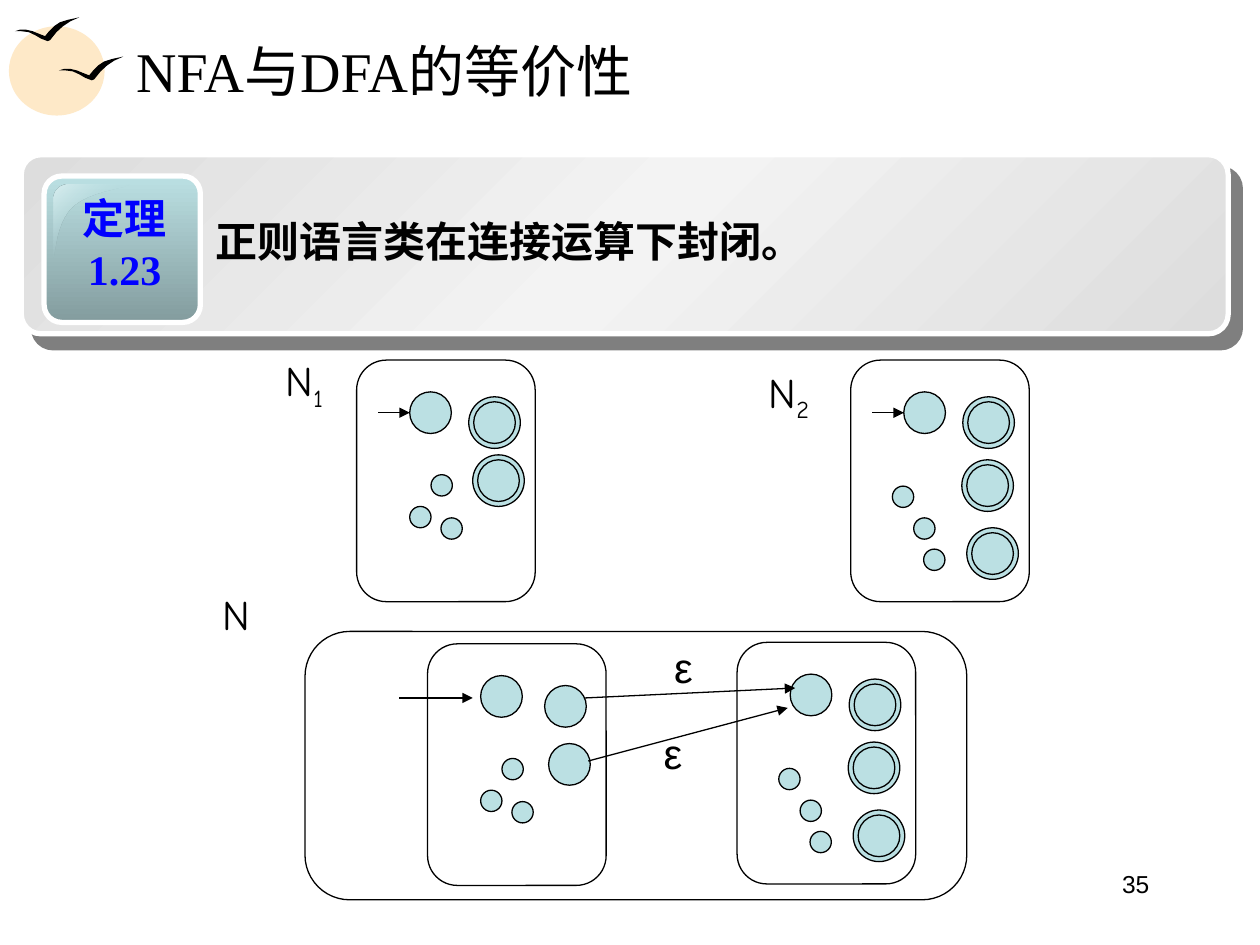
import pptx
import pptx.util
import pptx.dml.color
import pptx.enum.shapes
import pptx.enum.text
import pptx.oxml
import pptx.oxml.ns

Cm = pptx.util.Cm
Pt = pptx.util.Pt
RGBColor = pptx.dml.color.RGBColor
Shape = pptx.enum.shapes.MSO_SHAPE
Align = pptx.enum.text.PP_ALIGN

BLACK = RGBColor(0x00, 0x00, 0x00)
WHITE = RGBColor(0xFF, 0xFF, 0xFF)
BLUE = RGBColor(0x00, 0x00, 0xFF)
SUN = RGBColor(0xFE, 0xE9, 0xC8)
STATE = RGBColor(0xBB, 0xE0, 0xE3)
STATE_DARK = RGBColor(0x83, 0x9C, 0x9E)
STATE_LIGHT = RGBColor(0xDA, 0xEE, 0xF0)
SILVER = RGBColor(0xDD, 0xDD, 0xDD)
SILVER_LIGHT = RGBColor(0xF3, 0xF3, 0xF3)

FRAME = (3.6, 4.87)
START, SMALL, RING_GAP = 0.84, 0.43, 0.1
N1 = {"inner": [(1.5, 2.31), (1.07, 2.95), (1.7, 3.18)],
      "final": [(2.36, 0.84), (2.44, 2.01)]}
N2 = {"inner": [(0.84, 2.54), (1.27, 3.18), (1.47, 3.81)],
      "final": [(2.36, 0.84), (2.34, 2.11), (2.44, 3.48)]}
BIRD = [(0, 0.28), (0.1, 0.25), (0.23, 0.25), (0.36, 0.28), (0.48, 0.33),
        (0.61, 0.38), (0.69, 0.28), (0.79, 0.18), (0.91, 0.1), (1.07, 0.05),
        (1.3, 0), (1.12, 0.08), (0.97, 0.18), (0.84, 0.3), (0.71, 0.46),
        (0.66, 0.48), (0.53, 0.43), (0.41, 0.36), (0.28, 0.3), (0.13, 0.28)]


def add_xml(parent, markup):
    declaration = pptx.oxml.ns.nsdecls("a")
    parent.append(pptx.oxml.parse_xml(markup.replace(" ", f" {declaration} ", 1)))


def write(frame, text, size=24, font="Arial", color=BLACK, bold=False,
          align=Align.LEFT, spacing=None, subscript=""):
    frame.word_wrap = True
    for index, line in enumerate(text.split("\n")):
        paragraph = frame.add_paragraph() if index else frame.paragraphs[0]
        paragraph.alignment = align
        if spacing:
            paragraph.line_spacing = spacing
        for part in filter(None, (line, subscript)):
            run = paragraph.add_run()
            run.text = part
            run.font.size, run.font.name = Pt(size), font
            run.font.color.rgb, run.font.bold = color, bold
        if subscript:
            run.font._element.set("baseline", "-25000")


def label(shapes, x, y, width, height, text, **style):
    box = shapes.add_textbox(Cm(x), Cm(y), Cm(width), Cm(height))
    write(box.text_frame, text, **style)


def paint(shape, fill=None, line=None, weight=0.75):
    shape.shadow.inherit = False
    if fill is None:
        shape.fill.background()
    else:
        shape.fill.solid()
        shape.fill.fore_color.rgb = fill
    if line is None:
        shape.line.fill.background()
    else:
        shape.line.color.rgb = line
        shape.line.width = Pt(weight)


def shade(shape, stops, angle):
    shape.fill.gradient()
    gradient = shape._element.spPr.find(pptx.oxml.ns.qn("a:gradFill"))
    for child in list(gradient):
        gradient.remove(child)
    marks = "".join(
        f'<a:gs pos="{position * 1000}"><a:srgbClr val="{color}">'
        f'<a:alpha val="{alpha * 1000}"/></a:srgbClr></a:gs>'
        for position, color, alpha in stops)
    add_xml(gradient, f"<a:gsLst >{marks}</a:gsLst>")
    add_xml(gradient, f'<a:lin ang="{angle * 60000}" scaled="1"/>')


def add_preset(shapes, kind, x, y, width, height, fill=None, line=BLACK, weight=0.75):
    shape = shapes.add_shape(kind, Cm(x), Cm(y), Cm(width), Cm(height))
    paint(shape, fill, line, weight)
    return shape


def add_state(shapes, x, y, size):
    add_preset(shapes, Shape.OVAL, x, y, size, size, STATE)


def add_outline(shapes, x, y, points, fill):
    corners = [(Cm(x + dx), Cm(y + dy)) for dx, dy in points]
    builder = shapes.build_freeform(*corners[0])
    builder.add_line_segments(corners[1:], close=True)
    shape = builder.convert_to_shape()
    paint(shape, fill)
    return shape


def add_arrow(shapes, x1, y1, x2, y2):
    arrow = shapes.add_connector(pptx.enum.shapes.MSO_CONNECTOR.STRAIGHT,
                                 Cm(x1), Cm(y1), Cm(x2), Cm(y2))
    arrow.line.color.rgb = BLACK
    arrow.line.width = Pt(0.75)
    add_xml(arrow.line._get_or_add_ln(), '<a:tailEnd type="triangle"/>')
    add_xml(arrow._element.spPr, "<a:effectLst />")


def curve(a, b, c, d, steps=10):
    times = [step / steps for step in range(steps + 1)]
    return [tuple((1 - t) ** 3 * p + 3 * t * (1 - t) ** 2 * q
                  + 3 * t ** 2 * (1 - t) * r + t ** 3 * s
                  for p, q, r, s in zip(a, b, c, d)) for t in times]


def place_heading(slide, x, y, width, height):
    add_preset(slide.shapes, Shape.OVAL, x, y + 0.18, 1.93, 1.8, SUN, None)
    for dx, dy in ((0.12, 0), (1.01, 0.79)):
        add_outline(slide.shapes, x + dx, y + dy, BIRD, BLACK)
    title = slide.shapes.title
    title.left, title.top = Cm(x + 2.31), Cm(y + 0.18)
    title.width, title.height = Cm(width - 2.31), Cm(height)
    title.text_frame.vertical_anchor = pptx.enum.text.MSO_ANCHOR.MIDDLE
    write(title.text_frame, "NFA与DFA的等价性", size=32, font="Times New Roman")


def place_theorem(slide, x, y, width, height):
    shapes = slide.shapes
    banner = add_preset(shapes, Shape.ROUNDED_RECTANGLE, x, y, width, height,
                        SILVER, WHITE, 3)
    banner.adjustments[0] = 0.11
    shade(banner, [(0, SILVER, 100), (50, SILVER_LIGHT, 100), (100, SILVER, 100)], 45)
    add_xml(banner._element.spPr.find(pptx.oxml.ns.qn("a:effectLst")),
            '<a:outerShdw dist="134620" dir="2940000" algn="ctr" rotWithShape="0">'
            '<a:srgbClr val="000000"><a:alpha val="50000"/></a:srgbClr></a:outerShdw>')
    badge = add_preset(shapes, Shape.ROUNDED_RECTANGLE, x + 0.46, y + 0.43, 3.15, 2.95,
                       STATE, WHITE, 3)
    badge.adjustments[0] = 0.12
    shade(badge, [(0, STATE, 100), (100, STATE_DARK, 100)], 90)
    gloss_edge = (curve((0.3, 0), (0.13, 0), (0, 0.13), (0, 0.3))
                  + curve((0, 1.47), (0.05, 1.47), (0.03, 0.76), (0.41, 0.43))
                  + curve((0.41, 0.43), (0.81, 0.1), (1.55, 0.08), (1.52, 0)))
    gloss = add_outline(shapes, x + 0.66, y + 0.61, gloss_edge, STATE_LIGHT)
    shade(gloss, [(0, STATE_LIGHT, 100), (50, STATE, 0), (100, STATE_LIGHT, 100)], 45)
    label(shapes, x + 0.89, y + 0.64, 2.39, 2.29, "定理\n1.23", font="Times New Roman",
          color=BLUE, bold=True, align=Align.CENTER)
    label(shapes, x + 3.66, y + 0.99, 20.32, 1.37, "正则语言类在连接运算下封闭。",
          bold=True, spacing=1.1)


def place_automaton(shapes, x, y, states, accepting=True):
    if accepting:
        for dx, dy in states["final"]:
            add_state(shapes, x + dx - RING_GAP, y + dy - RING_GAP, START + 2 * RING_GAP)
    add_preset(shapes, Shape.ROUNDED_RECTANGLE, x, y, *FRAME)
    add_state(shapes, x + 1.07, y + 0.64, START)
    for dx, dy in states["inner"]:
        add_state(shapes, x + dx, y + dy, SMALL)
    for dx, dy in states["final"]:
        add_state(shapes, x + dx, y + dy, START)


def place_operand(slide, x, y, states, index, label_x, label_y):
    group = slide.shapes.add_group_shape().shapes
    place_automaton(group, x, y, states)
    add_arrow(group, x + 0.43, y + 1.06, x + 1.07, y + 1.06)
    label(slide.shapes, x + label_x, y + label_y, 1.7, 1.42, "N",
          font="Comic Neue", subscript=index)


def place_concatenation(slide, x, y, width, height):
    shapes = slide.shapes
    place_automaton(shapes, x + 2.47, y + 0.25, N1, accepting=False)
    place_automaton(shapes, x + 8.71, y + 0.22, N2)
    add_preset(shapes, Shape.ROUNDED_RECTANGLE, x, y, width, height)
    label(shapes, x - 1.91, y - 1, 1.47, 1.27, "N", font="Comic Neue")
    for x1, y1, x2, y2 in ((1.9, 1.34, 3.38, 1.34), (5.64, 1.34, 9.88, 1.14),
                           (5.71, 2.61, 9.73, 1.54)):
        add_arrow(shapes, x + x1, y + y1, x + x2, y + y2)
    for dx, dy in ((7.19, 0.07), (6.98, 1.82)):
        label(shapes, x + dx, y + dy, 0.89, 1.27, "ε")


def main():
    deck = pptx.Presentation()
    deck.slide_width, deck.slide_height = Cm(25.4), Cm(19.05)
    slide = deck.slides.add_slide(deck.slide_layouts[5])
    place_heading(slide, 0.18, 0.35, 23.98, 1.75)
    place_theorem(slide, 0.43, 3.12, 24.33, 3.61)
    place_operand(slide, 7.19, 7.26, N1, "1", -1.68, -0.23)
    place_operand(slide, 17.15, 7.26, N2, "2", -1.9, 0)
    place_concatenation(slide, 6.15, 12.73, 13.34, 5.41)
    label(slide.shapes, 17.5, 17.4, 5.92, 1.32, "35", size=14, align=Align.RIGHT)
    deck.save("out.pptx")


if __name__ == "__main__":
    main()
